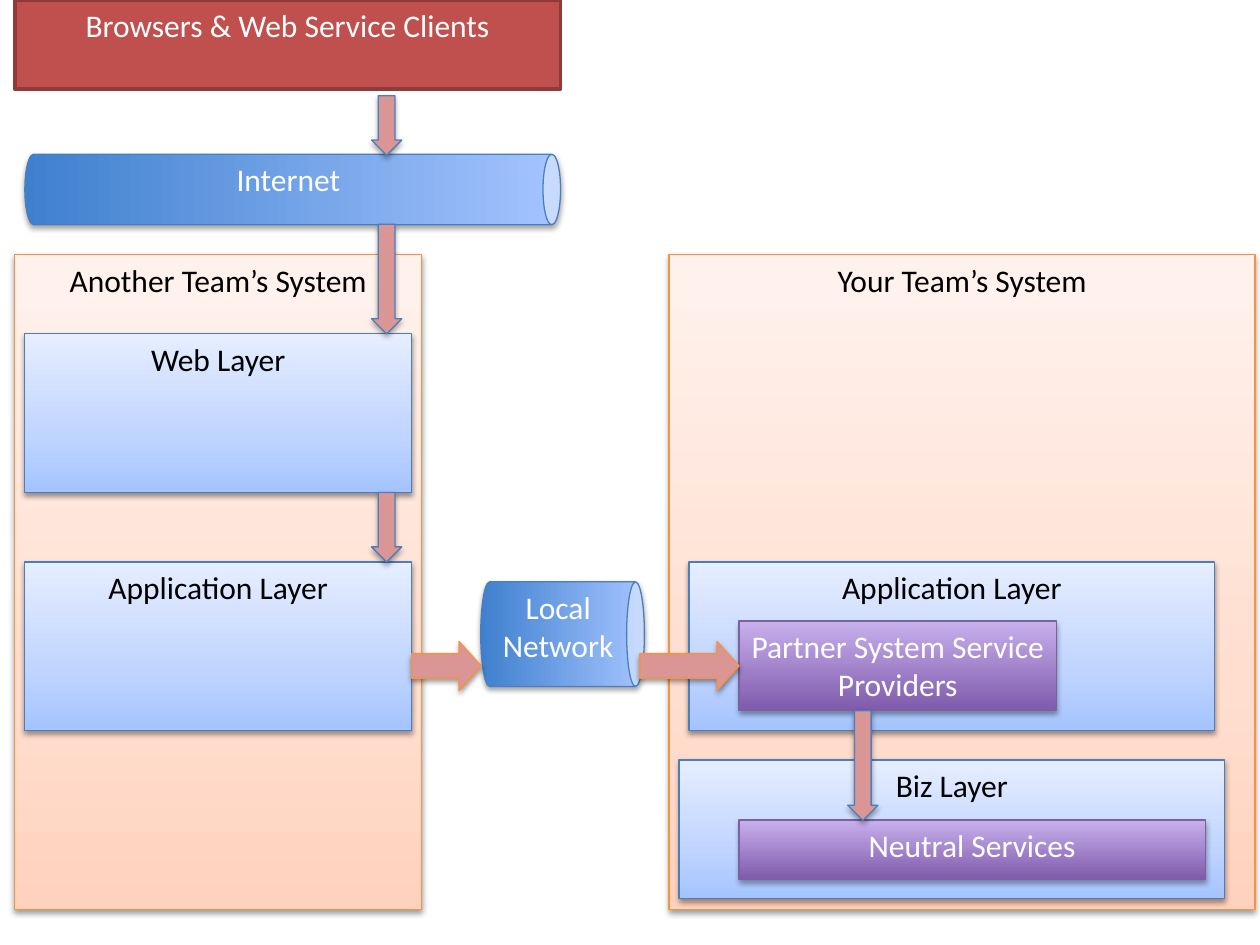
from dataclasses import dataclass

from lxml.etree import SubElement
from pptx import Presentation
from pptx.dml.color import RGBColor
from pptx.enum.shapes import MSO_SHAPE as Preset
from pptx.enum.text import MSO_ANCHOR as Anchor, PP_ALIGN as Align
from pptx.oxml.ns import qn
from pptx.util import Cm, Pt

COLORS = {
    "black": "000000", "white": "FFFFFF",
    "red": "C0504D", "red_edge": "8E3B39", "pink": "D99694",
    "orange_edge": "F69240", "blue_edge": "4B7EBC", "purple_edge": "7D60A0",
}
PALE_SHADOW = {"alpha": 38, "distance": 1.6}
DEEP_SHADOW = {"alpha": 35, "distance": 1.8}


@dataclass(frozen=True)
class Style:
    """Look of one kind of block; stops pair a percentage with a hex colour."""
    edge: str
    text: str = "white"
    fill: str = ""
    stops: tuple = ()
    shadow: dict | None = None
    line_width: float = 0.75


@dataclass(frozen=True)
class Block:
    """A labelled part of the system, placed as seen, in centimetres."""
    label: str
    left: float
    top: float
    width: float
    height: float
    style: Style


@dataclass(frozen=True)
class Flow:
    """An arrow from its tail corner, of the given length."""
    left: float
    top: float
    length: float


SYSTEM = Style("orange_edge", "black", shadow=PALE_SHADOW,
               stops=((0, "FFD2BD"), (35, "FFDED0"), (100, "FFF2ED")))
LAYER = Style("blue_edge", "black", shadow=PALE_SHADOW,
              stops=((0, "A4C4FF"), (35, "BFD4FF"), (100, "E6EEFF")))
SERVICE = Style("purple_edge", shadow=DEEP_SHADOW,
                stops=((0, "7F5BAB"), (100, "C8B0ED")))
NETWORK = Style("blue_edge", shadow=DEEP_SHADOW,
                stops=((0, "3F80CE"), (100, "A4C4FF")))
CLIENT = Style("red_edge", fill="red", line_width=2)
DOWN_FLOW = Style("blue_edge", fill="pink", shadow=DEEP_SHADOW)
RIGHT_FLOW = Style("orange_edge", fill="pink", shadow=PALE_SHADOW)

SYSTEM_TOP, SYSTEM_HEIGHT = 5.13, 13.21
APP_TOP, APP_HEIGHT = 11.33, 3.4
FLOW_X, FLOW_Y = 7.49, 12.93
DOWN_WIDTH, RIGHT_HEIGHT = 0.61, 0.99

BLOCKS = (
    Block("Another Team’s System", 0.3, SYSTEM_TOP, 8.2, SYSTEM_HEIGHT, SYSTEM),
    Block("Your Team’s System", 13.49, SYSTEM_TOP, 11.81, SYSTEM_HEIGHT, SYSTEM),
    Block("Browsers & Web Service Clients", 0.3, 0, 11, 1.8, CLIENT),
    Block("Web Layer", 0.5, 6.73, 7.8, 3.2, LAYER),
    Block("Biz Layer", 13.69, 15.32, 11, 2.8, LAYER),
    Block("Application Layer", 0.5, APP_TOP, 7.8, APP_HEIGHT, LAYER),
    Block("Application Layer", 13.89, APP_TOP, 10.6, APP_HEIGHT, LAYER),
    Block("Partner System Service Providers", 14.9, 12.52, 6.4, 1.8, SERVICE),
    Block("Neutral Services", 14.9, 16.53, 9.4, 1.2, SERVICE),
)
INTERNET = Block("Internet", 0.5, 3.11, 10.8, 1.42, NETWORK)
LOCAL_NETWORK = Block("Local Network", 9.69, 11.73, 3.3, 2.11, NETWORK)
DOWN_FLOWS = (Flow(FLOW_X, 1.93, 1.2), Flow(FLOW_X, 4.52, 2.21),
              Flow(FLOW_X, 9.93, 1.4), Flow(17.09, 14.33, 2.21))
RIGHT_FLOWS = (Flow(12.9, FLOW_Y, 2), Flow(8.3, FLOW_Y, 1.4))


def rgb(name: str) -> RGBColor:
    return RGBColor.from_string(COLORS[name])


def add_gradient(shape, stops: tuple) -> None:
    """Run the gradient upwards through any number of stops."""
    shape.fill.gradient()
    shape.fill.gradient_angle = 90
    stop_list = shape.element.spPr.find(qn("a:gradFill")).find(qn("a:gsLst"))
    for old_stop in list(stop_list):
        stop_list.remove(old_stop)
    for percent, color in stops:
        stop = SubElement(stop_list, qn("a:gs"), pos=str(percent * 1000))
        SubElement(stop, qn("a:srgbClr"), val=color)


def add_shadow(shape, alpha: int, distance: float) -> None:
    effects = shape.element.spPr.find(qn("a:effectLst"))
    shadow = SubElement(effects, qn("a:outerShdw"), blurRad=str(Pt(3.1)),
                        dist=str(Pt(distance)), dir="5400000", rotWithShape="0")
    color = SubElement(shadow, qn("a:srgbClr"), val=COLORS["black"])
    SubElement(color, qn("a:alpha"), val=str(alpha * 1000))


def add_styled(slide, preset, left: float, top: float, width: float,
               height: float, style: Style):
    shape = slide.shapes.add_shape(preset, *map(Cm, (left, top, width, height)))
    if style.stops:
        add_gradient(shape, style.stops)
    else:
        shape.fill.solid()
        shape.fill.fore_color.rgb = rgb(style.fill)
    shape.line.color.rgb = rgb(style.edge)
    shape.line.width = Pt(style.line_width)
    shape.shadow.inherit = False
    if style.shadow:
        add_shadow(shape, **style.shadow)
    return shape


def add_label(shape, block: Block) -> None:
    frame = shape.text_frame
    frame.word_wrap = True
    frame.vertical_anchor = Anchor.TOP
    paragraph = frame.paragraphs[0]
    paragraph.alignment = Align.CENTER
    run = paragraph.add_run()
    run.text = block.label
    for attribute, value in {"name": "Calibri", "size": Pt(18)}.items():
        setattr(run.font, attribute, value)
    run.font.color.rgb = rgb(block.style.text)


def add_block(slide, block: Block) -> None:
    shape = add_styled(slide, Preset.RECTANGLE, block.left, block.top,
                       block.width, block.height, block.style)
    add_label(shape, block)


def add_pipe(slide, block: Block, cap: float) -> None:
    """Lay a can on its side, keeping its label upright."""
    shift = (block.width - block.height) / 2
    can = add_styled(slide, Preset.CAN, block.left + shift, block.top - shift,
                     block.height, block.width, block.style)
    can.rotation = 90
    can.adjustments[0] = cap
    can.text_frame._txBody.bodyPr.set("vert", "vert270")
    add_label(can, block)


def add_arrow(slide, preset, flow: Flow, width: float, height: float,
              style: Style, shaft: float, head: float) -> None:
    arrow = add_styled(slide, preset, flow.left, flow.top, width, height, style)
    arrow.adjustments[0] = shaft
    arrow.adjustments[1] = head


def main() -> None:
    deck = Presentation()
    deck.slide_width, deck.slide_height = Cm(25.4), Cm(19.05)
    slide = deck.slides.add_slide(deck.slide_layouts[6])
    for block in BLOCKS:
        add_block(slide, block)
    add_pipe(slide, INTERNET, cap=0.25)
    add_pipe(slide, LOCAL_NETWORK, cap=0.17)
    for flow in DOWN_FLOWS:
        add_arrow(slide, Preset.DOWN_ARROW, flow, DOWN_WIDTH, flow.length,
                  DOWN_FLOW, shaft=0.55, head=0.5)
    for flow in RIGHT_FLOWS:
        add_arrow(slide, Preset.RIGHT_ARROW, flow, flow.length, RIGHT_HEIGHT,
                  RIGHT_FLOW, shaft=0.5, head=0.45)
    deck.save("out.pptx")


if __name__ == "__main__":
    main()
